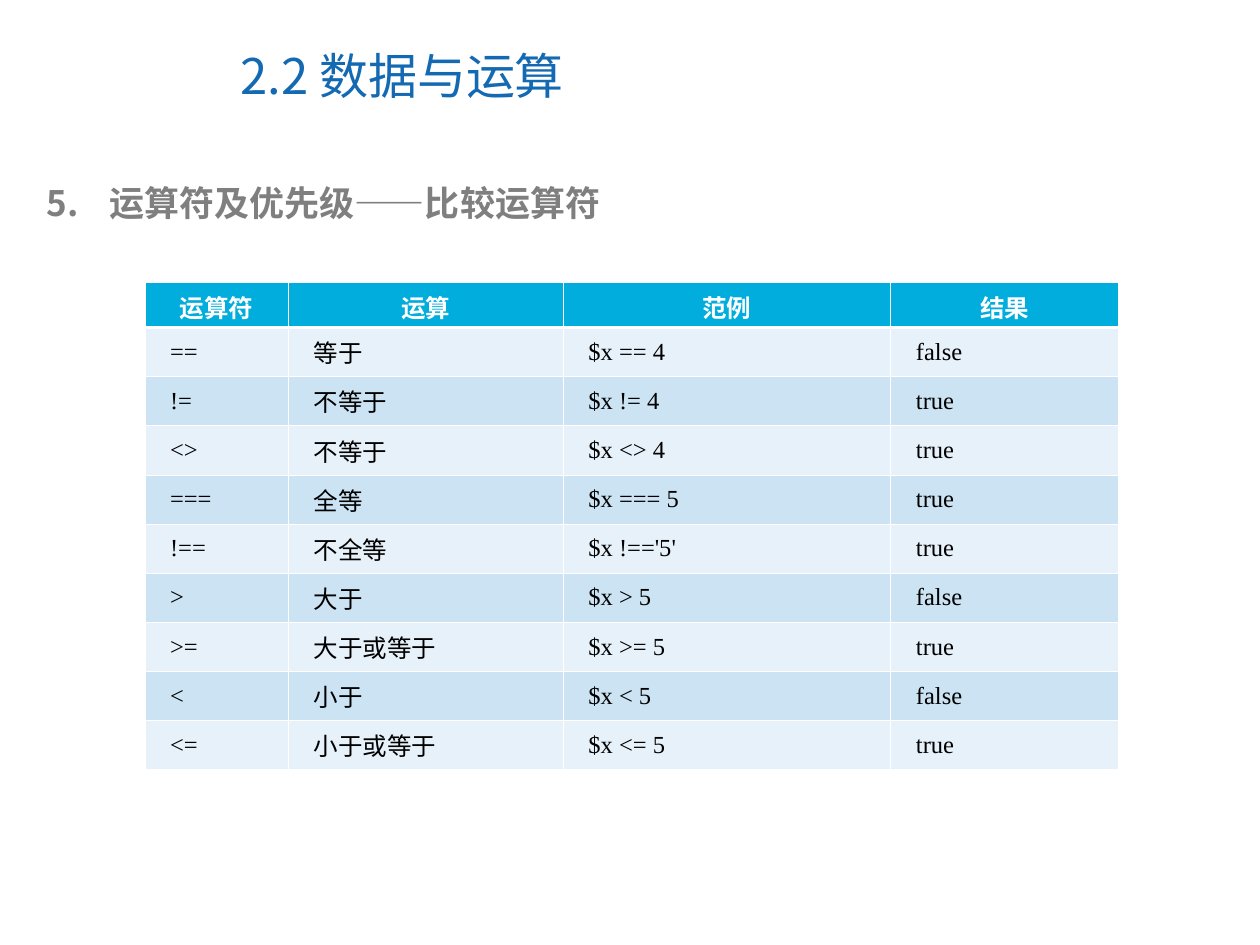
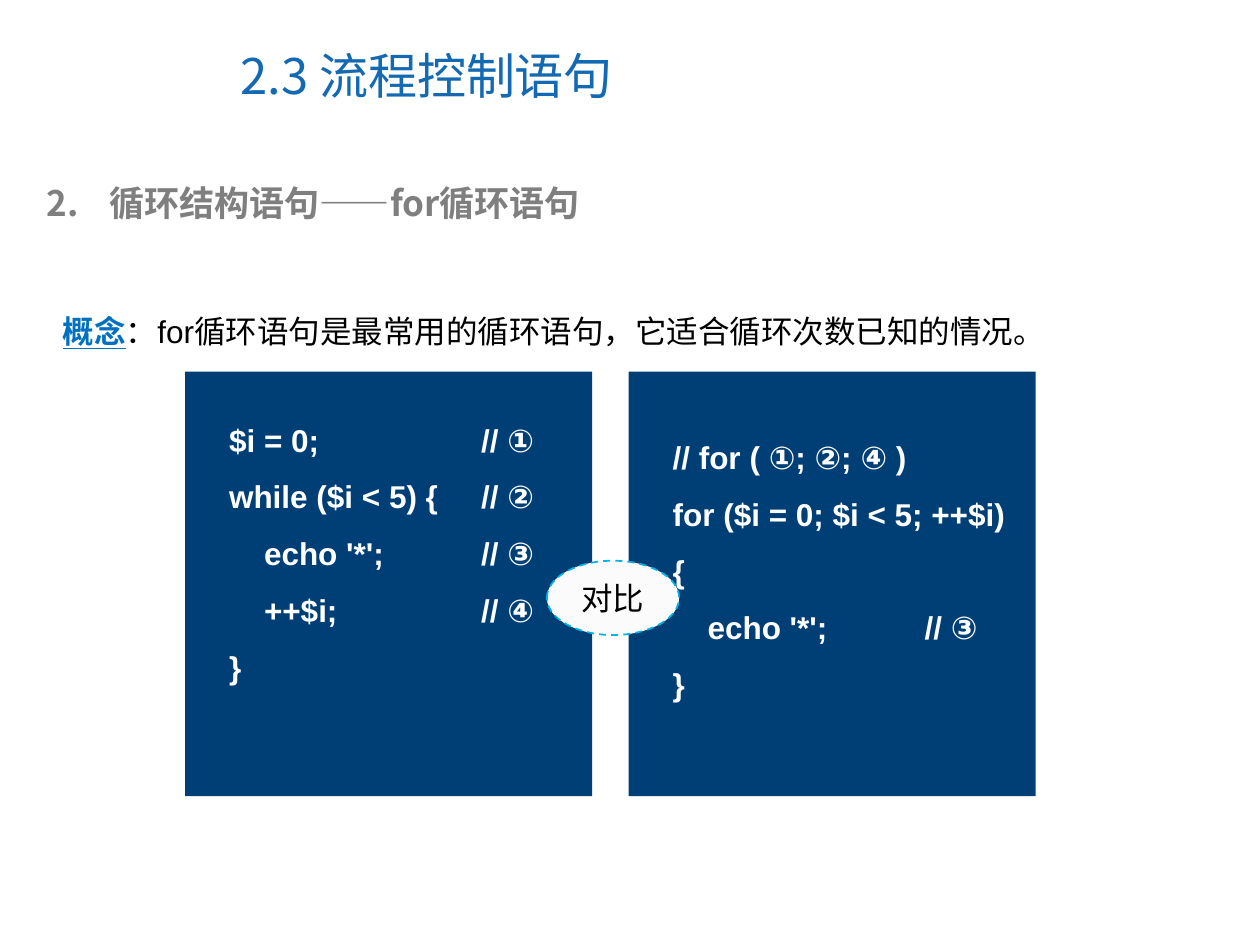
from lxml import etree
from pptx import Presentation
from pptx.dml.color import RGBColor
from pptx.enum.dml import MSO_LINE
from pptx.enum.shapes import MSO_SHAPE
from pptx.enum.text import MSO_ANCHOR, PP_ALIGN
from pptx.oxml.ns import qn
from pptx.util import Inches, Pt

RECTANGLE, ELLIPSE = MSO_SHAPE.RECTANGLE, MSO_SHAPE.OVAL
TOP, MIDDLE = MSO_ANCHOR.TOP, MSO_ANCHOR.MIDDLE
LEFT, CENTER, JUSTIFY = PP_ALIGN.LEFT, PP_ALIGN.CENTER, PP_ALIGN.JUSTIFY
DASH = MSO_LINE.DASH

WHITE = RGBColor(0xFF, 0xFF, 0xFF)
BLACK = RGBColor(0, 0, 0)
TITLE_BLUE = RGBColor(0x13, 0x69, 0xB2)
HEADING_GREY = RGBColor(0x7F, 0x7F, 0x7F)
TERM_BLUE = RGBColor(0x00, 0x70, 0xC0)
PANEL_NAVY = RGBColor(0x00, 0x3F, 0x75)
HEADER_CYAN = RGBColor(0x00, 0xAD, 0xDC)
ROW_FILLS = (RGBColor(0xE7, 0xF1, 0xF9), RGBColor(0xCB, 0xE3, 0xF2))
BADGE_FILL = RGBColor(0xFB, 0xFB, 0xFB)
BADGE_LINE = RGBColor(0x00, 0xB4, 0xE9)

CHINESE_FONT = "Noto Sans CJK SC"
TITLE = dict(name=CHINESE_FONT, size=Pt(28), color=TITLE_BLUE)
HEADING = dict(name=CHINESE_FONT, size=Pt(20), color=HEADING_GREY, bold=True)
BODY = dict(name="Arial", size=Pt(18), color=BLACK)
TERM = dict(BODY, color=TERM_BLUE, bold=True, underline=True)
CODE = dict(BODY, color=WHITE, bold=True)
TABLE_HEADER = dict(name="Arial", size=Pt(14), color=WHITE, bold=True)
TABLE_BODY = dict(name="Times New Roman", size=Pt(14), color=BLACK, bold=False)

OPERATOR_HEADER = ("运算符", "运算", "范例", "结果")
OPERATORS = [
    ("==", "等于", "$x == 4", "false"),
    ("!=", "不等于", "$x != 4", "true"),
    ("<>", "不等于", "$x <> 4", "true"),
    ("===", "全等", "$x === 5", "true"),
    ("!==", "不全等", "$x !=='5'", "true"),
    (">", "大于", "$x > 5", "false"),
    (">=", "大于或等于", "$x >= 5", "true"),
    ("<", "小于", "$x < 5", "false"),
    ("<=", "小于或等于", "$x <= 5", "true"),
]
COLUMN_WIDTHS = (1.14, 2.18, 2.6, 1.81)
HEADER_HEIGHT, ROW_HEIGHT = 0.36, 0.39

CONCEPT = [("概念", TERM), ("：for循环语句是最常用的循环语句，它适合循环次数已知的情况。", BODY)]
WHILE_CODE = [
    "$i = 0;\t// ①",
    "while ($i < 5) {\t// ②",
    "    echo '*';\t// ③",
    "    ++$i;\t// ④",
    "}",
]
FOR_CODE = [
    "// for ( ①; ②; ④ )",
    "for ($i = 0; $i < 5; ++$i) {",
    "    echo '*';\t// ③",
    "}",
]
PANEL_LEFT, PANEL_TOP, PANEL_WIDTH, PANEL_HEIGHT, PANEL_PITCH = 1.47, 2.95, 3.23, 3.37, 3.52
CODE_PANELS = [(WHILE_CODE, 3.14, 2.79), (FOR_CODE, 3.28, 2.42)]
CODE_INSET, CODE_WIDTH, COMMENT_TAB = 0.25, 2.9, 2


def inches(*lengths):
    return [Inches(length) for length in lengths]


def add_xml(parent, tag, **attributes):
    return etree.SubElement(parent, qn(tag), attributes)


def add_run(paragraph, text, style):
    run = paragraph.add_run()
    run.text = text
    for attribute, value in style.items():
        if attribute == "color":
            run.font.color.rgb = value
        else:
            setattr(run.font, attribute, value)
    add_xml(run._r.get_or_add_rPr(), "a:ea", typeface=CHINESE_FONT)


def write(frame, paragraphs, anchor=TOP, align=LEFT, spacing=None):
    frame.word_wrap = True
    frame.vertical_anchor = anchor
    for index, runs in enumerate(paragraphs):
        paragraph = frame.add_paragraph() if index else frame.paragraphs[0]
        paragraph.alignment = align
        if spacing:
            paragraph.line_spacing = spacing
        for text, style in runs:
            add_run(paragraph, text, style)


def add_text(slide, box, runs, **layout):
    frame = slide.shapes.add_textbox(*inches(*box)).text_frame
    write(frame, [runs], **layout)
    return frame


def add_block(shapes, kind, box, fill):
    shape = shapes.add_shape(kind, *inches(*box))
    shape.shadow.inherit = False
    shape.fill.solid()
    shape.fill.fore_color.rgb = fill
    shape.line.fill.background()
    return shape


def add_topic_slide(presentation, title, number, heading):
    slide = presentation.slides.add_slide(presentation.slide_layouts[6])
    add_text(slide, (1.81, 0.17, 5.16, 0.85), [(title, TITLE)], anchor=MIDDLE)
    frame = add_text(slide, (0.27, 1.39, 9.22, 0.44), [(heading, HEADING)])
    properties = frame.paragraphs[0]._p.get_or_add_pPr()
    properties.set("marL", str(Inches(0.5)))
    properties.set("indent", str(-Inches(0.5)))
    color = add_xml(properties, "a:buClr")
    add_xml(color, "a:srgbClr", val=str(HEADING_GREY))
    add_xml(properties, "a:buFont", typeface=CHINESE_FONT)
    add_xml(properties, "a:buAutoNum", type="arabicPeriod", startAt=str(number))
    return slide


def set_borders(cell, widths):
    properties = cell._tc.get_or_add_tcPr()
    for index, (side, width) in enumerate(widths.items()):
        line = etree.Element(qn("a:ln" + side), w=str(Pt(width)))
        fill = add_xml(line, "a:solidFill")
        add_xml(fill, "a:srgbClr", val=str(WHITE))
        properties.insert(index, line)


def add_operator_table(slide):
    rows = [OPERATOR_HEADER] + OPERATORS
    heights = [HEADER_HEIGHT] + [ROW_HEIGHT] * len(OPERATORS)
    box = inches(1.15, 2.24, sum(COLUMN_WIDTHS), sum(heights))
    table = slide.shapes.add_table(len(rows), len(COLUMN_WIDTHS), *box).table
    table.horz_banding = False
    for column, width in zip(table.columns, COLUMN_WIDTHS):
        column.width = Inches(width)
    for row_index, (texts, height) in enumerate(zip(rows, heights)):
        table.rows[row_index].height = Inches(height)
        is_header = row_index == 0
        style, align = (TABLE_HEADER, CENTER) if is_header else (TABLE_BODY, JUSTIFY)
        borders = dict(L=0.45, R=0.45, T=1.47 if row_index == 1 else 0.45, B=1.47 if is_header else 0.45)
        for column_index, text in enumerate(texts):
            cell = table.cell(row_index, column_index)
            cell.margin_left = cell.margin_right = Inches(0.08)
            cell.vertical_anchor = MIDDLE
            cell.fill.solid()
            cell.fill.fore_color.rgb = HEADER_CYAN if is_header else ROW_FILLS[(row_index - 1) % 2]
            set_borders(cell, borders)
            paragraph = cell.text_frame.paragraphs[0]
            paragraph.alignment = align
            if not is_header:
                paragraph._p.get_or_add_pPr().set("marL", str(Inches(0.12)))
            add_run(paragraph, text, style)


def add_code_panel(slide, left, lines, code_top, code_height):
    shapes = slide.shapes.add_group_shape().shapes
    add_block(shapes, RECTANGLE, (left, PANEL_TOP, PANEL_WIDTH, PANEL_HEIGHT), PANEL_NAVY)
    code_box = (left + CODE_INSET, code_top, CODE_WIDTH, code_height)
    frame = add_block(shapes, RECTANGLE, code_box, PANEL_NAVY).text_frame
    write(frame, [[(line, CODE)] for line in lines], spacing=1.5)
    for paragraph in frame.paragraphs:
        tabs = add_xml(paragraph._p.get_or_add_pPr(), "a:tabLst")
        add_xml(tabs, "a:tab", pos=str(Inches(COMMENT_TAB)), algn="l")


def add_comparison(slide):
    add_text(slide, (0.4, 2.13, 9.19, 0.7), CONCEPT, spacing=2.0)
    for index, panel in enumerate(CODE_PANELS):
        add_code_panel(slide, PANEL_LEFT + index * PANEL_PITCH, *panel)
    badge = add_block(slide.shapes, ELLIPSE, (4.34, 4.45, 1.05, 0.59), BADGE_FILL)
    badge.line.color.rgb = BADGE_LINE
    badge.line.width = Pt(1)
    badge.line.dash_style = DASH
    write(badge.text_frame, [[("对比", BODY)]], anchor=MIDDLE, align=CENTER)


def main():
    presentation = Presentation()
    presentation.slide_width, presentation.slide_height = inches(10, 7.5)
    add_operator_table(add_topic_slide(presentation, "2.2 数据与运算", 5, "运算符及优先级——比较运算符"))
    add_comparison(add_topic_slide(presentation, "2.3 流程控制语句", 2, "循环结构语句——for循环语句"))
    presentation.save("out.pptx")


if __name__ == "__main__":
    main()
